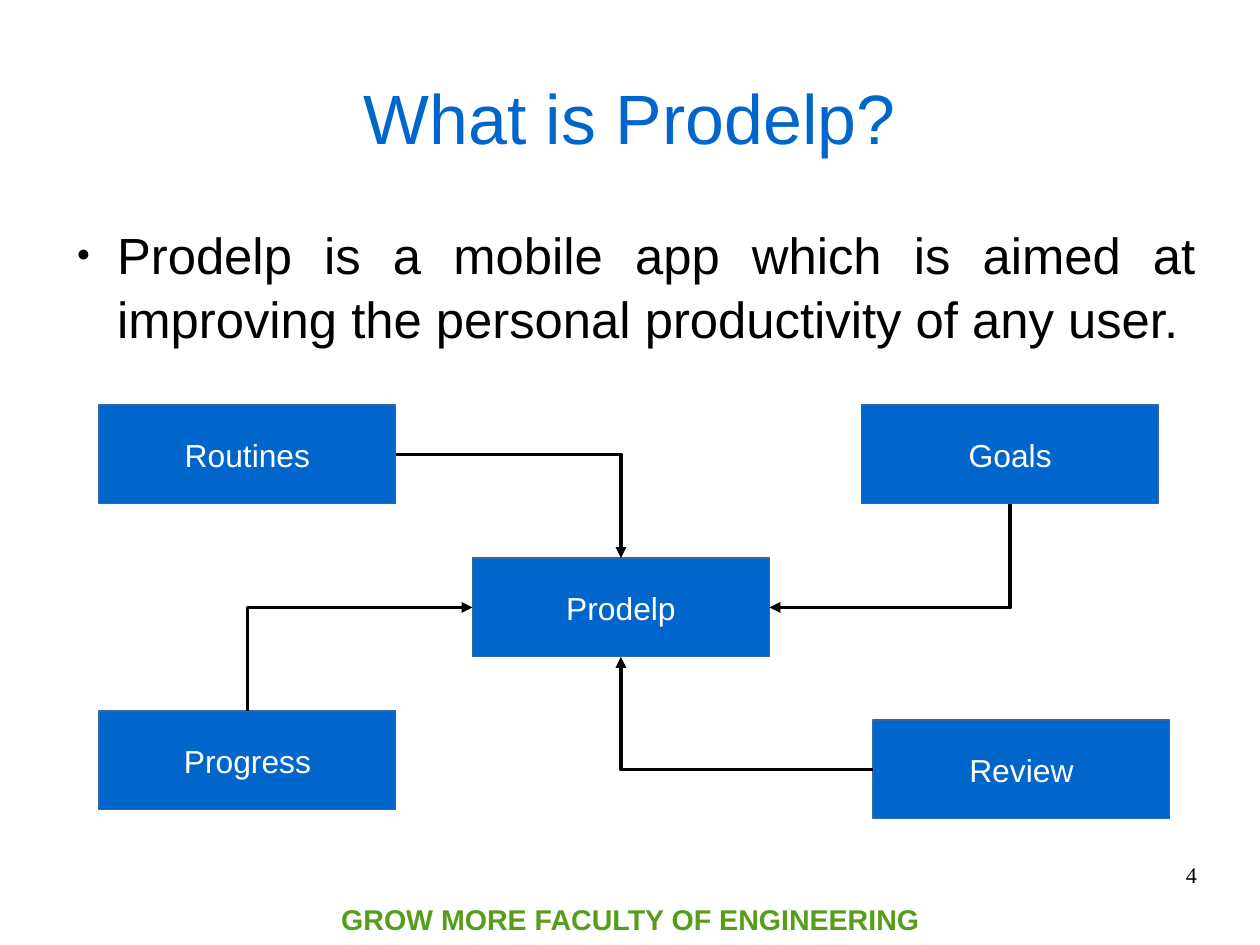
from lxml.etree import SubElement
from pptx import Presentation
from pptx.dml.color import RGBColor
from pptx.enum.shapes import MSO_CONNECTOR, MSO_SHAPE
from pptx.enum.text import MSO_ANCHOR, MSO_AUTO_SIZE, PP_ALIGN
from pptx.oxml.ns import qn
from pptx.util import Cm, Pt

BLUE = RGBColor(0x00, 0x66, 0xCC)
BORDER = RGBColor(0x34, 0x65, 0xA4)
GREEN = RGBColor(0x57, 0x9D, 0x1C)
BLACK = RGBColor(0x00, 0x00, 0x00)
WHITE = RGBColor(0xFF, 0xFF, 0xFF)
TOP, LEFT, BOTTOM, RIGHT = range(4)


def write(shape, text, size, color, align, anchor, font="Arial", bold=False, wrap=True):
    frame = shape.text_frame
    frame.word_wrap = wrap
    frame.auto_size = MSO_AUTO_SIZE.NONE
    frame.vertical_anchor = anchor
    paragraph = frame.paragraphs[0]
    paragraph.alignment = align
    run = paragraph.add_run()
    run.text = text
    run.font.name = font
    run.font.size = Pt(size)
    run.font.bold = bold
    run.font.color.rgb = color
    return paragraph


def place(shape, left, top, width, height):
    shape.left, shape.top = Cm(left), Cm(top)
    shape.width, shape.height = Cm(width), Cm(height)
    frame = shape.text_frame
    frame.margin_left = frame.margin_right = 0
    frame.margin_top = frame.margin_bottom = 0


presentation = Presentation()
presentation.slide_width = Cm(28)
presentation.slide_height = Cm(21)
slide = presentation.slides.add_slide(presentation.slide_layouts[1])

footer = slide.shapes.add_textbox(Cm(6.07), Cm(19.89), Cm(15.88), Cm(1.09))
write(footer, "GROW MORE FACULTY OF ENGINEERING", 18, GREEN,
      PP_ALIGN.CENTER, MSO_ANCHOR.MIDDLE, bold=True)

title = slide.shapes.title
place(title, 1.4, 0.84, 25.2, 3.5)
write(title, "What is Prodelp?", 44, BLUE, PP_ALIGN.CENTER, MSO_ANCHOR.MIDDLE)

body = slide.placeholders[1]
place(body, 1.4, 4.9, 25.2, 12.17)
paragraph = write(
    body,
    "Prodelp is a mobile app which is aimed at improving the personal productivity of any user.",
    32, BLACK, PP_ALIGN.JUSTIFY, MSO_ANCHOR.TOP)
paragraph.space_before = Pt(0)
paragraph.space_after = Pt(14.1)
paragraph.line_spacing = 1.05
properties = paragraph._p.get_or_add_pPr()
properties.set("marL", str(Cm(1.2)))
properties.set("indent", str(Cm(-0.9)))
bullet_color = SubElement(properties, qn("a:buClr"))
SubElement(bullet_color, qn("a:srgbClr"), val=str(BLACK))
SubElement(properties, qn("a:buSzPct"), val="45000")
SubElement(properties, qn("a:buFont"), typeface="Arial")
SubElement(properties, qn("a:buChar"), char="●")

boxes = {}
for name, left, top in [
    ("Routines", 2.2, 9),
    ("Prodelp", 10.5, 12.4),
    ("Goals", 19.15, 9),
    ("Progress", 2.2, 15.8),
    ("Review", 19.4, 16),
]:
    box = slide.shapes.add_shape(MSO_SHAPE.RECTANGLE, Cm(left), Cm(top), Cm(6.6), Cm(2.2))
    box.shadow.inherit = False
    box.fill.solid()
    box.fill.fore_color.rgb = BLUE
    box.line.color.rgb = BORDER
    box.line.width = Pt(0)
    write(box, name, 20, WHITE, PP_ALIGN.CENTER, MSO_ANCHOR.MIDDLE, wrap=False)
    boxes[name] = box

for name, start_side, end_side in [
    ("Routines", RIGHT, TOP),
    ("Progress", TOP, LEFT),
    ("Review", LEFT, BOTTOM),
    ("Goals", BOTTOM, RIGHT),
]:
    arrow = slide.shapes.add_connector(MSO_CONNECTOR.ELBOW, 0, 0, 0, 0)
    arrow.begin_connect(boxes[name], start_side)
    arrow.end_connect(boxes["Prodelp"], end_side)
    arrow.line.color.rgb = BLACK
    arrow.line.width = Pt(2.3)
    SubElement(arrow.line._get_or_add_ln(), qn("a:tailEnd"), type="triangle")
    shape_properties = arrow._element.spPr
    SubElement(shape_properties, qn("a:effectLst"))
    shape_properties.find(qn("a:prstGeom")).set("prst", "bentConnector2")
    if start_side in (TOP, BOTTOM):
        goes_right = arrow.end_x > arrow.begin_x
        goes_up = arrow.end_y < arrow.begin_y
        width, height = arrow.width, arrow.height
        arrow.left += (width - height) // 2
        arrow.top += (height - width) // 2
        arrow.width, arrow.height = height, width
        transform = shape_properties.find(qn("a:xfrm"))
        transform.set("rot", "5400000")
        transform.set("flipH", str(int(goes_up)))
        transform.set("flipV", str(int(goes_right)))

number = slide.shapes.add_textbox(0, 0, 0, 0)
place(number, 20.07, 19.13, 6.53, 1.45)
write(number, "4", 14, BLACK, PP_ALIGN.RIGHT, MSO_ANCHOR.TOP, font="Times New Roman")

presentation.save("out.pptx")
